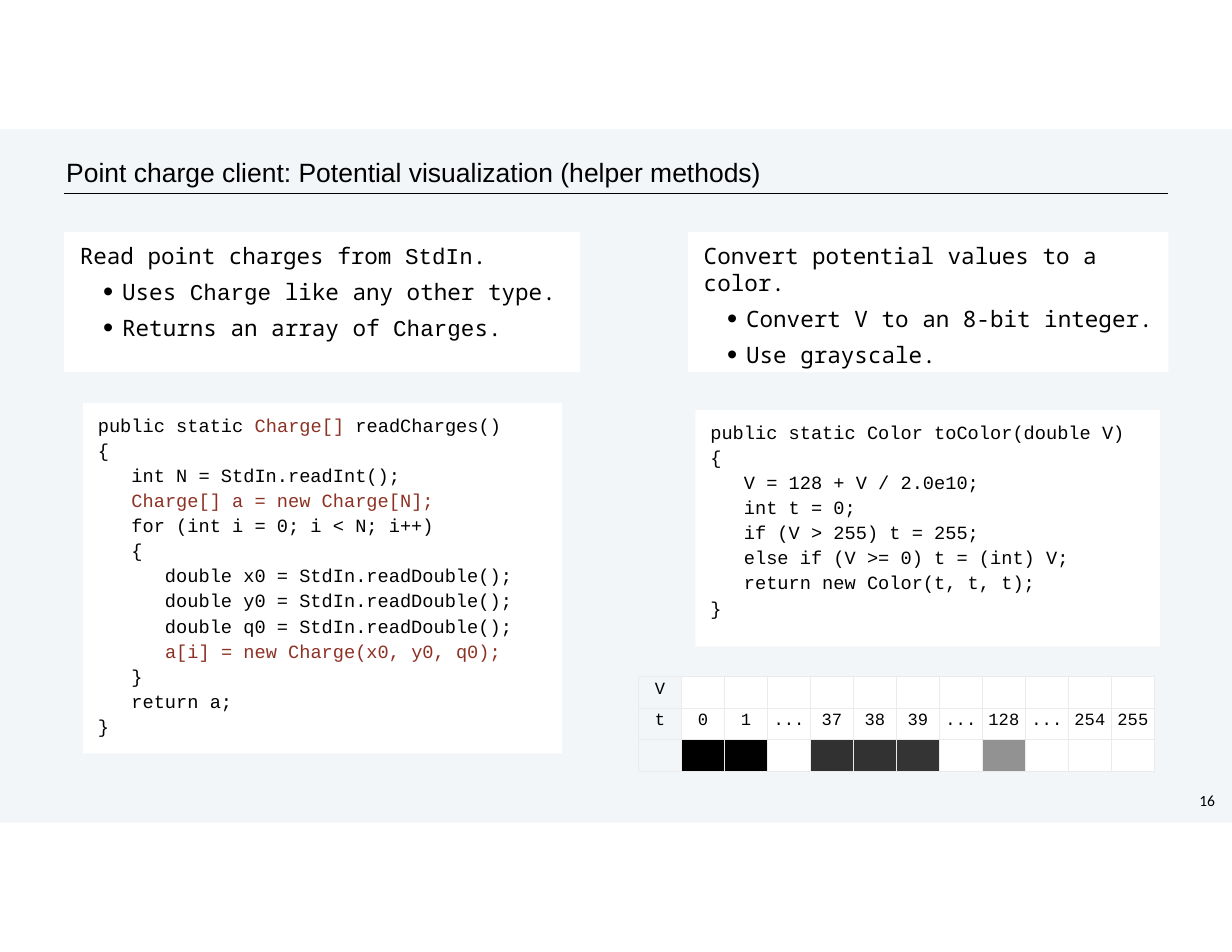
from lxml.etree import SubElement
from pptx import Presentation
from pptx.dml.color import RGBColor
from pptx.enum.shapes import MSO_CONNECTOR, MSO_SHAPE
from pptx.enum.text import MSO_ANCHOR, MSO_AUTO_SIZE, PP_ALIGN
from pptx.oxml.ns import qn
from pptx.util import Cm, Pt

BLACK = RGBColor(0x00, 0x00, 0x00)
WHITE = RGBColor(0xFF, 0xFF, 0xFF)
PALE_BLUE = RGBColor(0xF3, 0xF6, 0xF9)
BRICK = RGBColor(0x8D, 0x31, 0x24)
GRID = RGBColor(0xEB, 0xEB, 0xEB)

SANS, MONO, CODE = "Arial", "Noto Sans Mono", "Courier New"

# Backticks enclose class names in the lists and highlighted parts in the code
READ_NOTES = [
    "Read point charges from `StdIn`.",
    "Uses `Charge` like any other type.",
    "Returns an array of `Charge`s.",
]
COLOR_NOTES = [
    "Convert potential values to a color.",
    "Convert V to an 8-bit integer.",
    "Use grayscale.",
]
READ_CODE = """public static `Charge[]` readCharges()
{
   int N = StdIn.readInt();
   `Charge[] a = new Charge[N];`
   for (int i = 0; i < N; i++)
   {
      double x0 = StdIn.readDouble();
      double y0 = StdIn.readDouble();
      double q0 = StdIn.readDouble();
      `a[i] = new Charge(x0, y0, q0);`
   }
   return a;
}"""
COLOR_CODE = """public static Color toColor(double V)
{
   V = 128 + V / 2.0e10;
   int t = 0;
   if (V > 255) t = 255;
   else if (V >= 0) t = (int) V;
   return new Color(t, t, t);
}"""
GRAY_LEVELS = ["0", "1", "...", "37", "38", "39", "...", "128", "...", "254", "255"]
SWATCHES = {1: "000000", 2: "010101", 4: "313131", 5: "323232", 6: "343434", 8: "929292"}


def set_font(font, name, size, color=BLACK):
    font.name = name
    font.size = Pt(size)
    font.color.rgb = color


def set_frame(frame, left=0, top=0):
    frame.word_wrap = True
    frame.auto_size = MSO_AUTO_SIZE.NONE
    frame.vertical_anchor = MSO_ANCHOR.TOP
    frame.margin_left, frame.margin_top = Cm(left), Cm(top)
    frame.margin_right = frame.margin_bottom = 0


def place(shape, box):
    shape.left, shape.top, shape.width, shape.height = (Cm(value) for value in box)


def fill_plain(shape, color):
    shape.fill.solid()
    shape.fill.fore_color.rgb = color
    shape.line.fill.background()


def add_rectangle(slide, box, color):
    shape = slide.shapes.add_shape(MSO_SHAPE.RECTANGLE, *(Cm(value) for value in box))
    shape.shadow.inherit = False
    fill_plain(shape, color)
    return shape


def add_marked_runs(paragraph, text):
    """Add the text and return the runs that stood between backticks."""
    marked = []
    for index, part in enumerate(text.split("`")):
        if part:
            run = paragraph.add_run()
            run.text = part
            if index % 2:
                marked.append(run)
    return marked


def set_bullet(paragraph, left, hanging, character=None):
    properties = paragraph._p.get_or_add_pPr()
    properties.set("marL", str(Cm(left)))
    properties.set("indent", str(-Cm(hanging)))
    if character:
        SubElement(properties, qn("a:buSzPct"), val="128000")
        SubElement(properties, qn("a:buChar"), char=character)
    else:
        SubElement(properties, qn("a:buNone"))


def add_background(slide, box):
    left, top, width, height = box
    add_rectangle(slide, box, PALE_BLUE)
    rule_y = Cm(top + 1.46)
    rule = slide.shapes.add_connector(
        MSO_CONNECTOR.STRAIGHT, Cm(left + 1.45), rule_y, Cm(left + width - 1.45), rule_y)
    rule.line.color.rgb = BLACK
    rule.line.width = Pt(0.41)
    SubElement(rule._element.spPr, qn("a:effectLst"))


def fill_title(title, box, text):
    place(title, box)
    set_frame(title.text_frame, left=0.03, top=0.05)
    paragraph = title.text_frame.paragraphs[0]
    paragraph.text = text
    paragraph.alignment = PP_ALIGN.LEFT
    set_font(paragraph.font, SANS, 17)


def fill_notes(body, box, notes):
    place(body, box)
    fill_plain(body, WHITE)
    frame = body.text_frame
    set_frame(frame, top=0.23)
    for index, note in enumerate(notes):
        paragraph = frame.add_paragraph() if index else frame.paragraphs[0]
        paragraph.space_before = Pt(5.8 if index else 0)
        if index:
            set_bullet(paragraph, 1.32, 0.43, "•")
        else:
            set_bullet(paragraph, 0.36, 0)
        set_font(paragraph.font, MONO, 14.5)
        for run in add_marked_runs(paragraph, note):
            run.font.name = CODE


def add_code(slide, box, code):
    frame = add_rectangle(slide, box, WHITE).text_frame
    set_frame(frame, left=0.34, top=0.25)
    for index, line in enumerate(code.split("\n")):
        paragraph = frame.add_paragraph() if index else frame.paragraphs[0]
        paragraph.alignment = PP_ALIGN.LEFT
        paragraph.space_before = Pt(1.7 if index else 0)
        set_font(paragraph.font, CODE, 12)
        for run in add_marked_runs(paragraph, line):
            run.font.color.rgb = BRICK


def set_borders(cell):
    properties = cell._tc.get_or_add_tcPr()
    for position, side in enumerate(("lnL", "lnR", "lnT", "lnB")):
        line = SubElement(properties, qn(f"a:{side}"), w=str(Pt(0.5)))
        solid = SubElement(line, qn("a:solidFill"))
        SubElement(solid, qn("a:srgbClr"), val=str(GRID))
        properties.insert(position, line)


def add_gray_table(slide, box):
    rows = [["V"], ["t"] + GRAY_LEVELS, []]
    column_count = len(GRAY_LEVELS) + 1
    table = slide.shapes.add_table(
        len(rows), column_count, *(Cm(value) for value in box)).table
    table.first_row = table.horz_banding = False
    for row_index, texts in enumerate(rows):
        for column in range(column_count):
            cell = table.cell(row_index, column)
            cell.margin_left = cell.margin_right = cell.margin_bottom = 0
            cell.margin_top = Cm(0.08)
            paragraph = cell.text_frame.paragraphs[0]
            paragraph.alignment = PP_ALIGN.CENTER
            set_font(paragraph.font, CODE, 11)
            if column < len(texts):
                paragraph.text = texts[column]
            color = WHITE if column else PALE_BLUE
            if row_index == 2 and column in SWATCHES:
                color = RGBColor.from_string(SWATCHES[column])
            cell.fill.solid()
            cell.fill.fore_color.rgb = color
            set_borders(cell)


def add_page_number(slide, box, number):
    frame = slide.shapes.add_textbox(*(Cm(value) for value in box)).text_frame
    set_frame(frame, left=0.1)
    frame.paragraphs[0].text = number
    set_font(frame.paragraphs[0].font, "Calibri", 10)


def main():
    presentation = Presentation()
    presentation.slide_width, presentation.slide_height = Cm(27.94), Cm(21.59)
    slide = presentation.slides.add_slide(presentation.slide_layouts[3])
    title, left_body, right_body = slide.placeholders

    # Background band, moved behind the placeholders
    add_background(slide, (0, 2.93, 27.94, 15.73))
    for placeholder in (title, left_body, right_body):
        slide.shapes._spTree.append(placeholder._element)

    # Title and page number
    fill_title(title, (1.47, 3.48, 21.92, 0.81),
               "Point charge client: Potential visualization (helper methods)")
    add_page_number(slide, (27.1, 17.93, 0.58, 0.48), "16")

    # Left half: reading charges
    fill_notes(left_body, (1.45, 5.26, 11.71, 3.18), READ_NOTES)
    add_code(slide, (1.88, 9.14, 10.87, 7.95), READ_CODE)

    # Right half: potential to color
    fill_notes(right_body, (15.6, 5.26, 10.9, 3.18), COLOR_NOTES)
    add_code(slide, (15.77, 9.3, 10.54, 5.36), COLOR_CODE)
    add_gray_table(slide, (14.48, 15.34, 11.7, 2.15))

    presentation.save("out.pptx")


if __name__ == "__main__":
    main()
